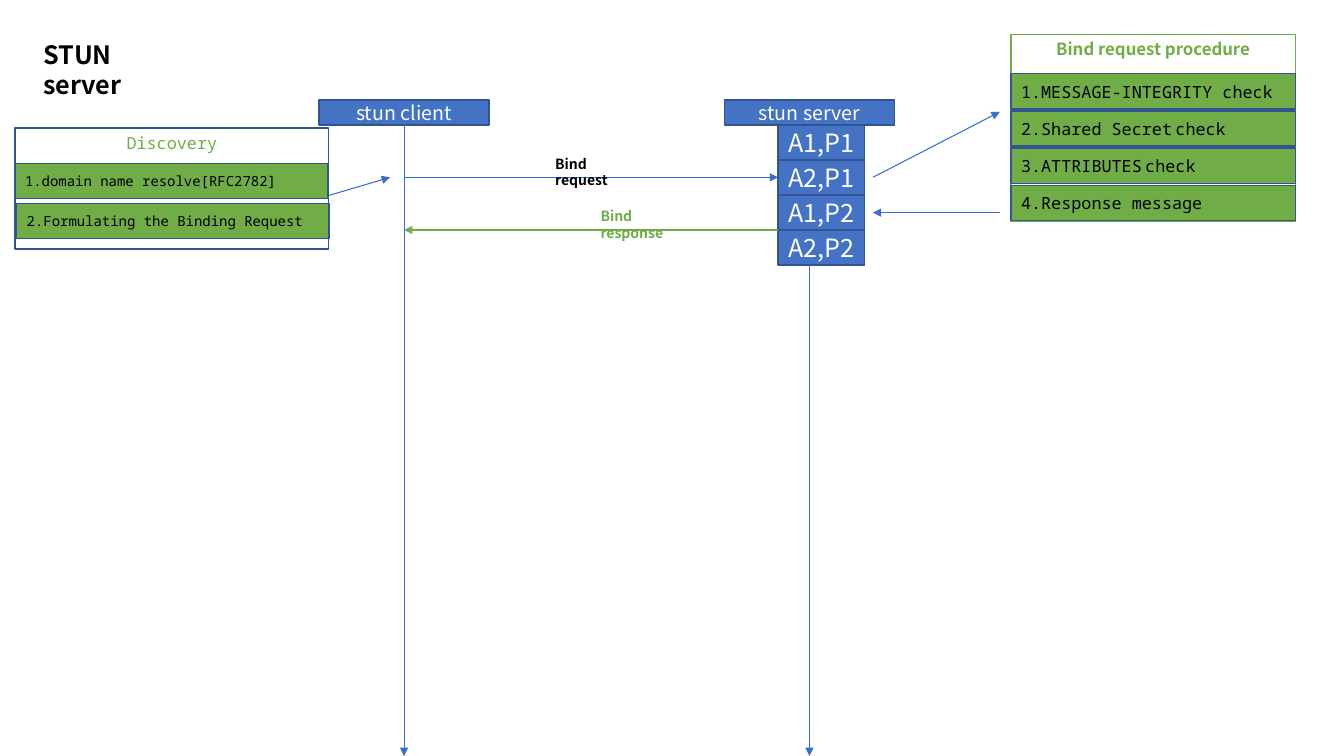
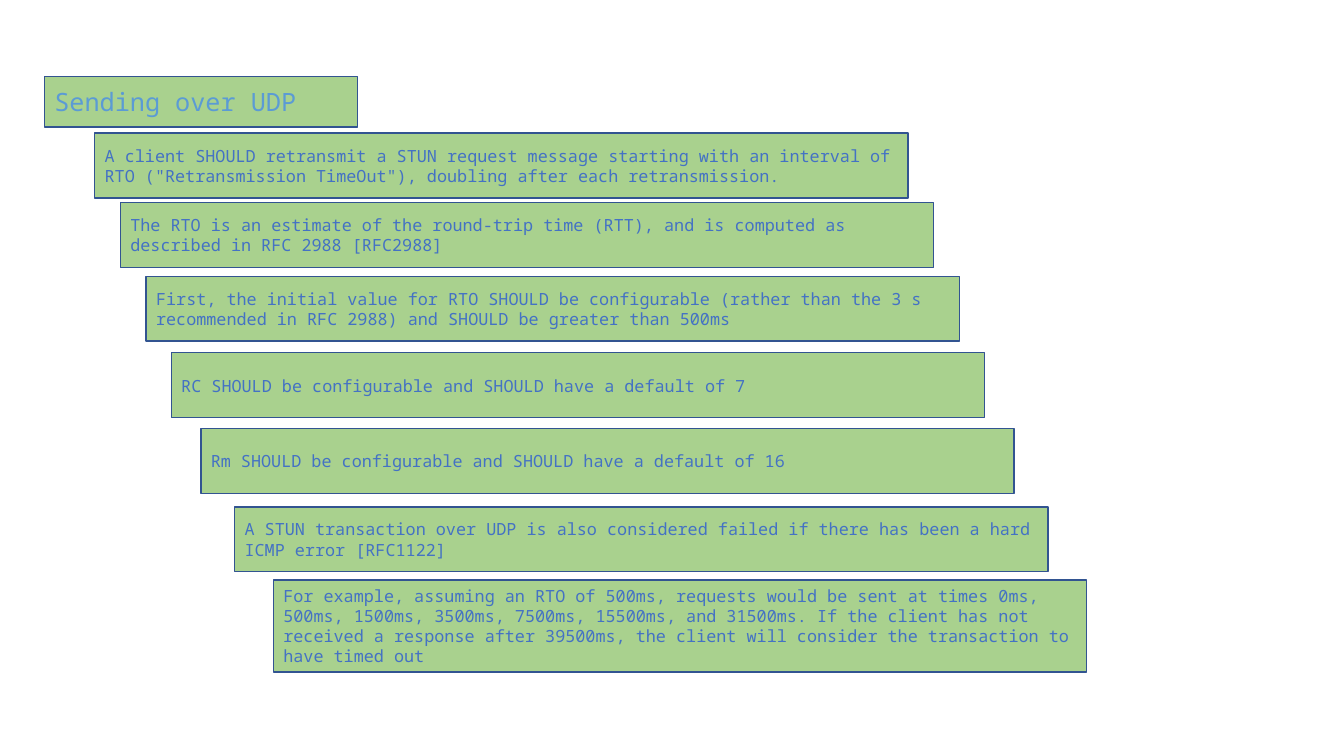
from dataclasses import dataclass

from lxml import etree
from pptx import Presentation
from pptx.dml.color import RGBColor
from pptx.enum import shapes, text
from pptx.oxml import ns
from pptx.util import Pt


@dataclass(frozen=True)
class Theme:
    sans: str = "Noto Sans CJK SC"
    mono: str = "Noto Sans Mono"
    black: str = "000000"
    white: str = "FFFFFF"
    blue: str = "4472C4"
    sky: str = "5B9BD5"
    outline: str = "325491"
    arrow: str = "376ED1"
    green: str = "70AD47"
    pale_green: str = "A9D18E"
    title: float = 18
    header: float = 14
    body: float = 12
    gap: float = 10.5
    small: float = 10
    border: float = 1
    hairline: float = 0.75


class Deck:
    """Holds the theme and the slide being drawn; lengths are in points."""

    def __init__(self, theme, width, height):
        self.theme = theme
        self.presentation = Presentation()
        self.presentation.slide_width = Pt(width)
        self.presentation.slide_height = Pt(height)
        self.slide = None

    def new_slide(self):
        blank = self.presentation.slide_layouts[6]
        self.slide = self.presentation.slides.add_slide(blank)

    def set_words(self, frame, words, size, color, font, bold=False, centred=False):
        """Words are a string, or a list of (text, font, size) runs."""
        frame.word_wrap = True
        paragraph = frame.paragraphs[0]
        paragraph.alignment = text.PP_ALIGN.CENTER if centred else text.PP_ALIGN.LEFT
        paragraph.font.color.rgb = RGBColor.from_string(color)
        paragraph.font.bold = bold
        if isinstance(words, str):
            paragraph.text = words
            paragraph.font.name = font
            paragraph.font.size = Pt(size)
            return
        for part, part_font, part_size in words:
            run = paragraph.add_run()
            run.text = part
            run.font.name = part_font
            run.font.size = Pt(part_size)

    def label(self, place, words, size, color):
        box = self.slide.shapes.add_textbox(*map(Pt, place))
        self.set_words(box.text_frame, words, size, color, self.theme.sans, bold=True)

    def box(self, place, words, size, color, font, fill=None, line=None,
            bold=False, centred=False):
        """A filled box centres its words vertically, an open frame puts them on top."""
        rect = self.slide.shapes.add_shape(shapes.MSO_SHAPE.RECTANGLE, *map(Pt, place))
        rect.shadow.inherit = False
        if fill:
            rect.fill.solid()
            rect.fill.fore_color.rgb = RGBColor.from_string(fill)
        else:
            rect.fill.background()
        rect.line.color.rgb = RGBColor.from_string(line or self.theme.outline)
        rect.line.width = Pt(self.theme.border)
        anchor = text.MSO_ANCHOR.MIDDLE if fill else text.MSO_ANCHOR.TOP
        rect.text_frame.vertical_anchor = anchor
        self.set_words(rect.text_frame, words, size, color, font, bold, centred)

    def node(self, place, words, size):
        self.box(place, words, size, self.theme.white, self.theme.sans,
                 fill=self.theme.blue, centred=True)

    def step(self, place, words, size):
        self.box(place, words, size, self.theme.black, self.theme.mono,
                 fill=self.theme.green)

    def note(self, place, words, size, color):
        self.box(place, words, size, color, self.theme.mono, fill=self.theme.pale_green)

    def arrow(self, start, end, color=None):
        connector = self.slide.shapes.add_connector(
            shapes.MSO_CONNECTOR.STRAIGHT, *map(Pt, (*start, *end)))
        connector.line.color.rgb = RGBColor.from_string(color or self.theme.arrow)
        connector.line.width = Pt(self.theme.hairline)
        properties = connector.element.spPr
        etree.SubElement(properties.find(ns.qn("a:ln")), ns.qn("a:tailEnd"),
                         type="triangle")
        etree.SubElement(properties, ns.qn("a:effectLst"))


theme = Theme()
deck = Deck(theme, 960, 540)

# Slide 1: message exchange between client and server
deck.new_slide()
deck.label((23.8, 24.5, 115.9, 28.8), "STUN server", theme.title, theme.black)

# Participants and their lifelines
header_top, header_width, header_height = 71.3, 121.7, 18
client_x, server_x = 288.6, 578.2
lifeline_top = header_top + header_height
for name, x in (("stun client", client_x), ("stun server", server_x)):
    deck.node((x - header_width / 2, header_top, header_width, header_height),
              name, theme.header)
    deck.arrow((x, lifeline_top), (x, 540))

# Server addresses and ports
address_left, address_width, address_height = 555.8, 61.9, 25
for row, address in enumerate(("A1,P1", "A2,P1", "A1,P2", "A2,P2")):
    deck.node((address_left, lifeline_top + row * address_height,
               address_width, address_height), address, theme.title)

# Request and response
request_y, response_y = 126.7, 164.3
deck.arrow((client_x, request_y), (address_left, request_y))
deck.label((389.5, 107.3, 64.8, 19.4), "Bind request", theme.small, theme.black)
deck.arrow((address_left, response_y), (client_x, response_y), theme.green)
deck.label((421.9, 144.7, 61.9, 19.4), "Bind response", theme.small, theme.green)

# Bind request procedure
step_height = 25.2
procedure_left, procedure_width = 722.2, 203
deck.box((procedure_left, 24.5, procedure_width, 133.9), "Bind request procedure",
         theme.body, theme.green, theme.sans, line=theme.green, bold=True, centred=True)


def spaced_check(subject):
    return [(subject, theme.mono, theme.body), (" ", theme.sans, theme.gap),
            ("check", theme.mono, theme.body)]


checks = ("1.MESSAGE-INTEGRITY check", spaced_check("2.Shared Secret"),
          spaced_check("3.ATTRIBUTES"), "4.Response message")
for row, check in enumerate(checks):
    deck.step((procedure_left, 52.6 + row * 26.6, procedure_width, step_height),
              check, theme.body)
deck.arrow((623.5, request_y), (714.2, 79.9))
deck.arrow((714.2, 151.9), (623.5, 151.9))

# Discovery
deck.box((10.8, 91.4, 223.9, 86.4), "Discovery", theme.body, theme.green,
         theme.mono, centred=True)
for left, top, action in ((10.8, 116.6, "1.domain name resolve[RFC2782]"),
                          (12, 145.4, "2.Formulating the Binding Request")):
    deck.step((left, top, 223.2, step_height), action, theme.small)
deck.arrow((234.7, 139.7), (278.6, request_y))

# Slide 2: retransmission rules as a staircase
deck.new_slide()
deck.note((31.7, 54.7, 223.9, 36), "Sending over UDP", theme.title, theme.sky)
rule_width, rule_height, example_height = 581, 46.4, 65.8
rules = (
    (67.7, 95, rule_height,
     "A client SHOULD retransmit a STUN request message starting with an interval of "
     'RTO ("Retransmission TimeOut"), doubling after each retransmission.'),
    (86, 144.7, rule_height,
     "The RTO is an estimate of the round-trip time (RTT), and is computed as "
     "described in RFC 2988 [RFC2988]"),
    (104.4, 197.3, rule_height,
     "First, the initial value for RTO SHOULD be configurable (rather than the 3 s "
     "recommended in RFC 2988) and SHOULD be greater than 500ms"),
    (122.4, 252, rule_height,
     "RC SHOULD be configurable and SHOULD have a default of 7"),
    (143.5, 306.2, rule_height,
     "Rm SHOULD be configurable and SHOULD have a default of 16"),
    (167.6, 362, rule_height,
     "A STUN transaction over UDP is also considered failed if there has been a hard "
     "ICMP error [RFC1122]"),
    (195.3, 414.2, example_height,
     "For example, assuming an RTO of 500ms, requests would be sent at times 0ms, "
     "500ms, 1500ms, 3500ms, 7500ms, 15500ms, and 31500ms. If the client has not "
     "received a response after 39500ms, the client will consider the transaction to "
     "have timed out"),
)
for left, top, height, rule in rules:
    deck.note((left, top, rule_width, height), rule, theme.body, theme.blue)

deck.presentation.save("out.pptx")
